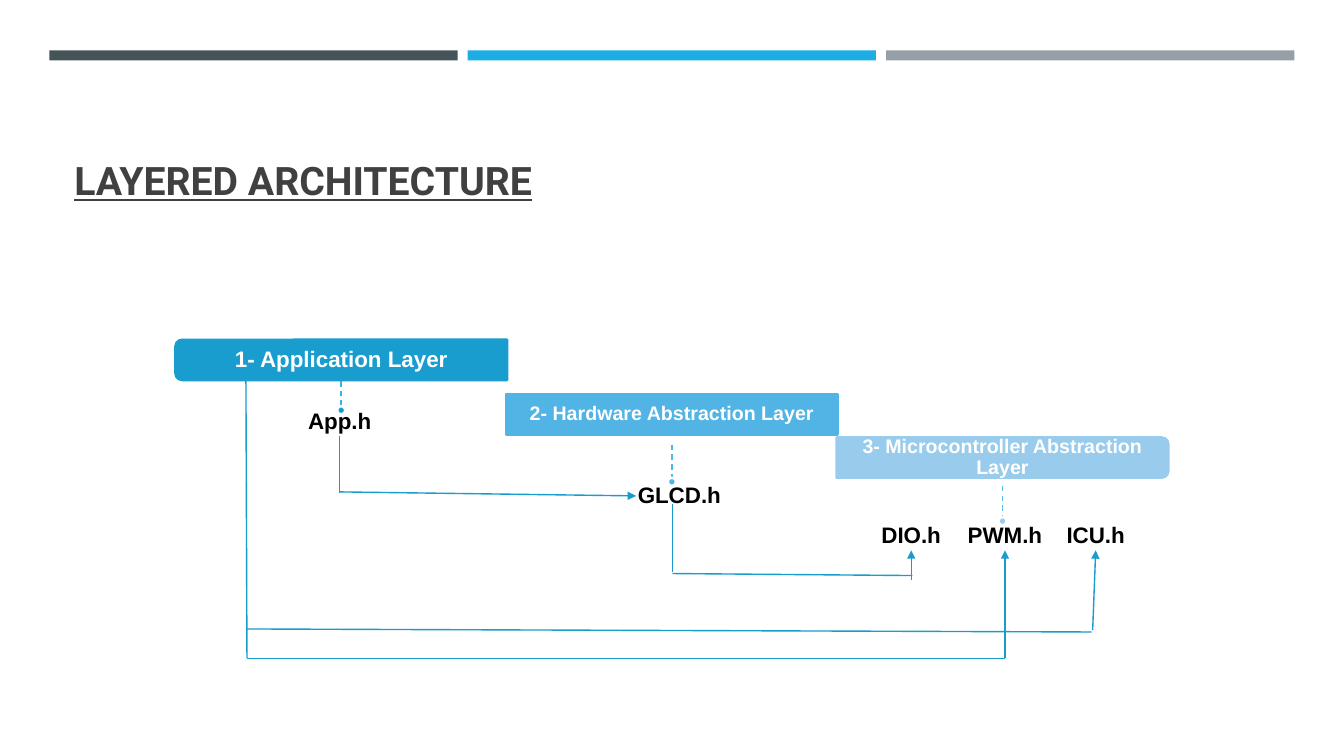
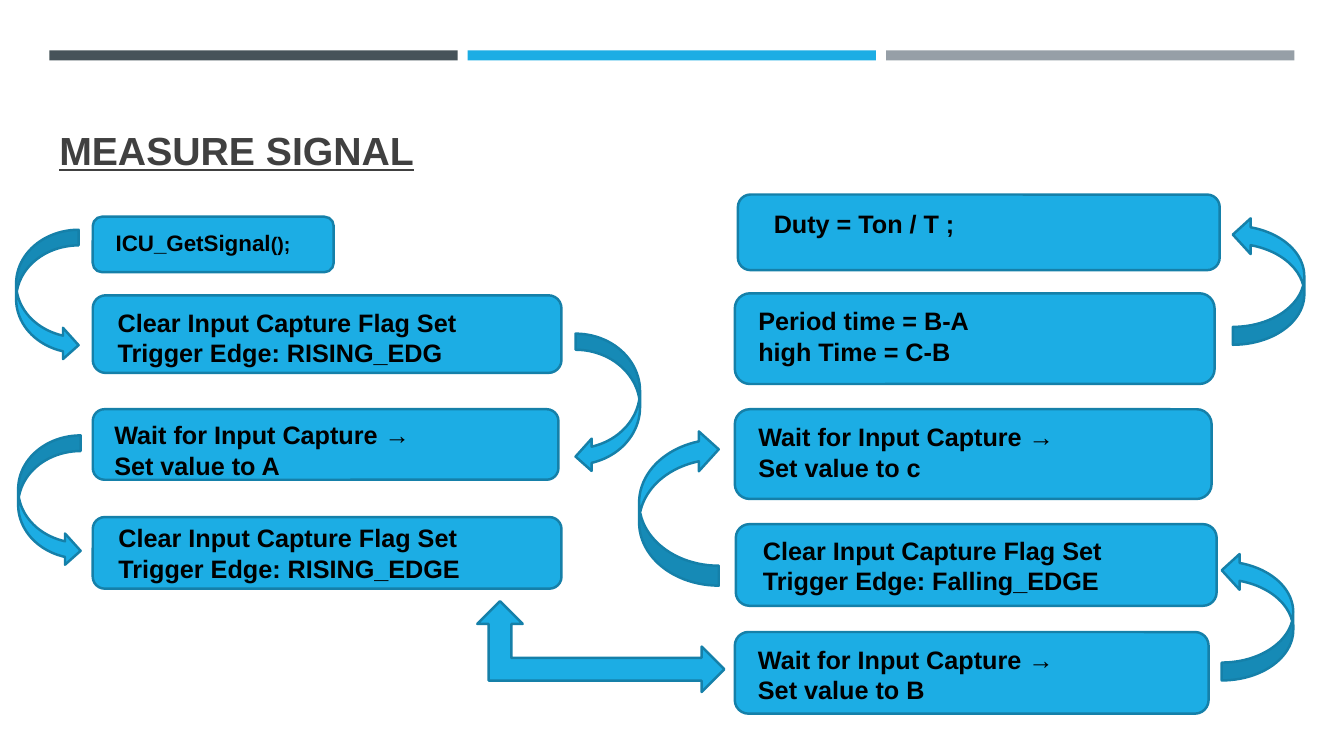
from pptx import Presentation
from pptx.dml.color import RGBColor
from pptx.enum.dml import MSO_LINE
from pptx.enum.shapes import MSO_CONNECTOR, MSO_SHAPE
from pptx.enum.text import MSO_ANCHOR, PP_ALIGN
from pptx.oxml.ns import qn
from pptx.util import Emu, Pt
from lxml.etree import SubElement

COLS, ROWS = 133.33, 75
CELL = 91440
BLUE, EDGE, WIRE = "1CADE4", "1580A9", "189CCE"
BANDS = ["465359", BLUE, "969FA7"]
TITLE = {"size": Pt(28), "bold": True, "underline": True}
BOLD = {"name": "Arial", "bold": True}


def u(*cells):
    return [Emu(round(c * CELL)) for c in cells]


def rgb(color):
    return RGBColor.from_string(color)


def apply(obj, fmt):
    for key, value in fmt.items():
        setattr(obj, key, value)


def write(sp, lines, color, fmt, insets=(0, 0, 0, 0), wrap=True,
          anchor=MSO_ANCHOR.MIDDLE, align=PP_ALIGN.LEFT, spacing=1.0):
    tf = sp.text_frame
    names = ("margin_left", "margin_top", "margin_right", "margin_bottom")
    apply(tf, dict(zip(names, u(*insets))))
    apply(tf, {"word_wrap": wrap, "vertical_anchor": anchor})
    for i, runs in enumerate(lines):
        p = tf.add_paragraph() if i else tf.paragraphs[0]
        apply(p, {"alignment": align, "line_spacing": spacing})
        for text, size in runs:
            r = p.add_run()
            r.text = text
            apply(r.font, {**fmt, "size": Pt(size)})
            r.font.color.rgb = rgb(color)


def add_box(s, kind, box, fill, line=None, width=1.75, rotation=0):
    sp = s.shapes.add_shape(kind, *u(*box))
    sp.shadow.inherit = False
    sp.rotation = rotation
    sp.fill.solid()
    sp.fill.fore_color.rgb = rgb(fill)
    if line:
        sp.line.color.rgb = rgb(line)
        sp.line.width = Pt(width)
    else:
        sp.line.fill.background()
    return sp


def add_line(s, start, end, color, dash=None, arrow=False):
    c = s.shapes.add_connector(MSO_CONNECTOR.STRAIGHT, *u(*start, *end))
    c.line.color.rgb = rgb(color)
    c.line.width = Pt(1)
    if dash:
        c.line.dash_style = dash
    if arrow:
        SubElement(c.line._get_or_add_ln(), qn("a:tailEnd"), type="triangle")
    SubElement(c._element.spPr, qn("a:effectLst"))
    return c


def add_frame(prs, title, font, box):
    s = prs.slides.add_slide(prs.slide_layouts[6])
    for i, color in enumerate(BANDS):
        add_box(s, MSO_SHAPE.RECTANGLE, (4.9 + 41.5 * i, 5, 40.5, 1), color)
    sp = s.shapes.add_textbox(*u(*box))
    write(sp, [[(title, 28)]], "404040", {**TITLE, "name": font},
          (1, 0.5, 1, 0.5), anchor=MSO_ANCHOR.BOTTOM)
    return s


def add_layer(s, box, text, size, color, stem_color, turn, stem, dot):
    x, y, w, h = box
    if turn:
        tall = (x + (w - h) / 2, y - (w - h) / 2, h, w)
        add_box(s, MSO_SHAPE.ROUND_2_SAME_RECTANGLE, tall, color, color,
                rotation=turn)
    else:
        add_box(s, MSO_SHAPE.RECTANGLE, box, color, color)
    sp = s.shapes.add_textbox(*u(*box))
    write(sp, [[(text, size)]], "FFFFFF", BOLD, (1.2, 0, 1.2, 0),
          align=PP_ALIGN.CENTER, spacing=0.9)
    mid = x + w / 2
    add_line(s, (mid, y + stem), (mid, y + stem + 3.2), stem_color,
             MSO_LINE.DASH)
    add_box(s, MSO_SHAPE.OVAL, (mid - 0.4, y + dot, 0.8, 0.8), color, "FFFFFF")


def add_architecture(s, left, top):
    layers = [
        (0.7, "1- Application Layer", 16, "199DCF", "36B3E9", 270, 4.1, 6.6),
        (6.1, "2- Hardware Abstraction Layer", 14, "52B3E5", "48B8EC", 0, 5, 8.3),
        (10.4, "3- Microcontroller Abstraction Layer", 14, "99CBEC", "5ABEEF",
         90, 4.8, 7.9),
    ]
    for i, (y, *look) in enumerate(layers):
        add_layer(s, (left + 0.4 + 32.8 * i, top + y, 32.9, 4), *look)

    files = {}
    for name, x, y in [("App.h", 16.7, 8.9), ("GLCD.h", 50.4, 16.2),
                       ("DIO.h", 73.4, 20.2), ("PWM.h", 82.7, 20.2),
                       ("ICU.h", 91.7, 20.2)]:
        sp = s.shapes.add_textbox(*u(left + x - 4.3, top + y - 1.4, 8.6, 2.8))
        write(sp, [[(name, 16)]], "000000", BOLD, wrap=False,
              align=PP_ALIGN.CENTER, spacing=0.9)
        files[name] = sp

    wires = [
        ((7.4, 4.8), (7.5, 32.3)), ((7.5, 32.3), (82.7, 32.3)),
        ((82.7, 32.3), ("PWM.h", 2)), ((7.5, 29.4), (91.3, 29.7)),
        ((91.4, 29.5), ("ICU.h", 2)), (("App.h", 2), (16.7, 15.9)),
        ((16.7, 15.8), ("GLCD.h", 1)), ((49.7, 17), (49.7, 23.7)),
        ((49.7, 23.9), (73.5, 24.1)), ((73.4, 24.5), ("DIO.h", 2)),
    ]
    for ends in wires:
        joined = [end[0] in files for end in ends]
        points = [(left, top) if j else (left + end[0], top + end[1])
                  for j, end in zip(joined, ends)]
        c = add_line(s, *points, WIRE, arrow=joined[1])
        for j, (name, side), join in zip(joined, ends,
                                         (c.begin_connect, c.end_connect)):
            if j:
                join(files[name], side)


def add_steps(s, left, top, steps):
    for x, y, w, h, indent, drop, lines in steps:
        sp = add_box(s, MSO_SHAPE.ROUNDED_RECTANGLE,
                     (left + x, top + y, w, h), BLUE, EDGE)
        write(sp, lines, "000000", BOLD, (indent, drop, 0, 0),
              anchor=MSO_ANCHOR.TOP)


def add_arrows(s, left, top):
    arrows = [
        (MSO_SHAPE.CURVED_RIGHT_ARROW, 1.6, 3.8, 6.2, 13, 0),
        (MSO_SHAPE.CURVED_LEFT_ARROW, 57.1, 14.1, 6.4, 13.8, 0),
        (MSO_SHAPE.CURVED_RIGHT_ARROW, 1.8, 24.2, 6.2, 13, 0),
        (MSO_SHAPE.LEFT_UP_ARROW, 55.1, 32.9, 9, 24.5, 90),
        (MSO_SHAPE.CURVED_UP_ARROW, 118.4, 38.6, 12.7, 7.1, 270),
        (MSO_SHAPE.CURVED_DOWN_ARROW, 59.6, 27.4, 15.5, 7.9, 270),
        (MSO_SHAPE.CURVED_UP_ARROW, 119.5, 5.3, 12.7, 7.1, 270),
    ]
    for kind, x, y, w, h, turn in arrows:
        add_box(s, kind, (left + x, top + y, w, h), BLUE, EDGE, rotation=turn)


def pair(first, second):
    return [[(first, 18)], [(second, 18)]]


def main():
    prs = Presentation()
    prs.slide_width, prs.slide_height = u(COLS, ROWS)

    s = add_frame(prs, "LAYERED ARCHITECTURE", "Roboto", (6.4, 7.7, 120.6, 13))
    add_architecture(s, 17, 33)

    clear, wait = "Clear Input Capture Flag Set", "Wait for Input Capture →"
    s = add_frame(prs, "MEASURE SIGNAL", "Arial", (4.9, 4.7, 120.6, 13))
    add_steps(s, 9.2, 21.5, [
        (0, 0, 23.9, 5.5, 2, 1, [[("ICU_GetSignal", 16), ("();", 14)]]),
        (0, 7.8, 46.5, 7.7, 2.1, 0.8, pair(clear, "Trigger Edge: RISING_EDG")),
        (0, 19.1, 46.2, 7, 1.8, 0.7, pair(wait, "Set value to A")),
        (0, 29.8, 46.5, 7.1, 2.2, 0.2, pair(clear, "Trigger Edge: RISING_EDGE")),
    ])
    add_steps(s, 72.9, 19.3, [
        (0.3, 0, 47.8, 7.5, 3.2, 1, [[("Duty = Ton / T ;", 18)]]),
        (0, 9.8, 47.6, 9, 1.9, 0.8, pair("Period time = B-A", "high Time = C-B")),
        (0, 21.3, 47.3, 8.9, 1.9, 0.8, pair(wait, "Set value to c")),
        (0.1, 32.7, 47.7, 8.1, 2.3, 0.7, pair(clear, "Trigger Edge: Falling_EDGE")),
        (0, 43.4, 47, 8.1, 1.9, 0.8, pair(wait, "Set value to B")),
    ])
    add_arrows(s, 0, 19)
    prs.save("out.pptx")


if __name__ == "__main__":
    main()
